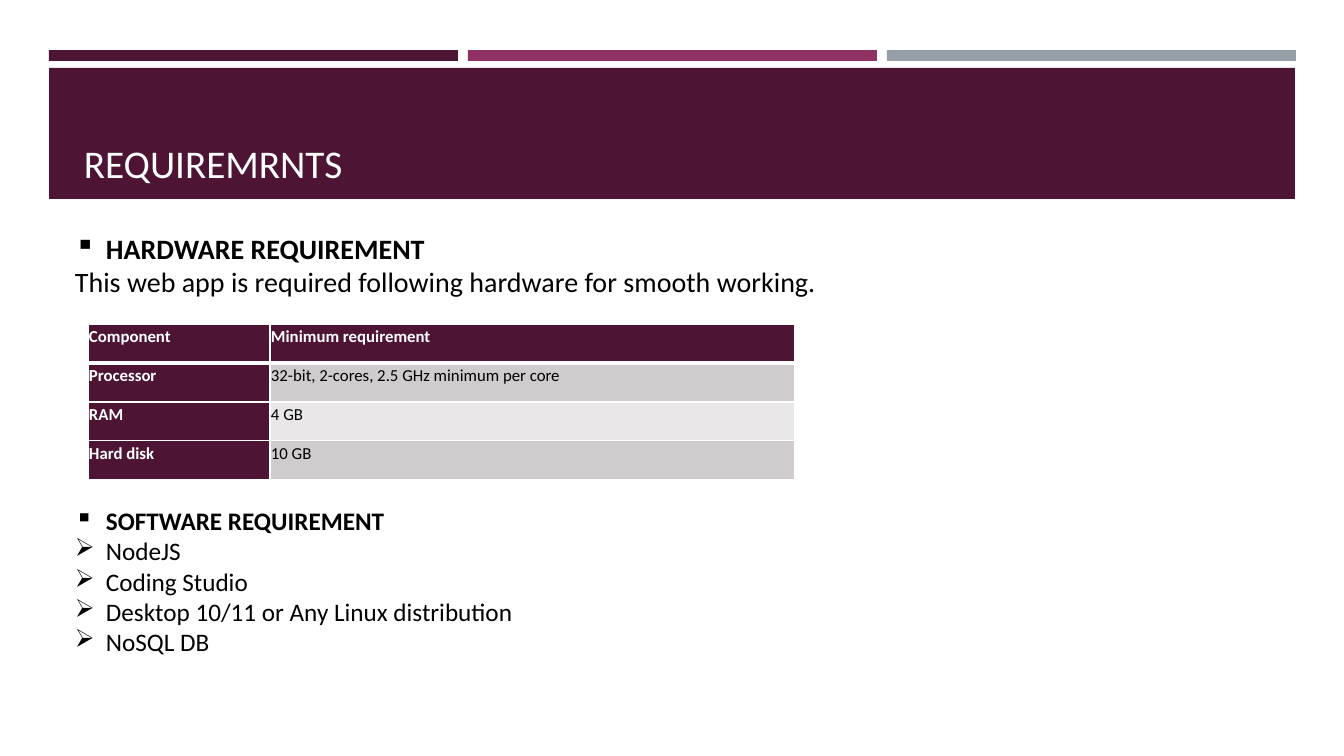
from dataclasses import dataclass

from lxml import etree
from pptx import Presentation
from pptx import util as u
from pptx.dml.color import RGBColor
from pptx.enum import shapes, text
from pptx.oxml import ns

EMU_PER_PX = 914400 / 100.8
FONT = "Calibri"
COLOURS = {
    "plum": "4D1434",
    "berry": "903163",
    "steel": "969FA7",
    "white": "FFFFFF",
    "black": "000000",
    "band_dark": "D0CCCE",
    "band_light": "E9E7E8",
}
BULLET_INDENT = 31


@dataclass(frozen=True)
class Bar:
    left: int
    top: int
    width: int
    height: int
    colour: str


@dataclass(frozen=True)
class Line:
    words: str
    size: int
    colour: str = "black"
    bold: bool = False
    bullet: str = ""
    gap_before: int = 0


BARS = [
    *(Bar(49 + 419 * i, 50, 409, 11, colour)
      for i, colour in enumerate(("plum", "berry", "steel"))),
    Bar(49, 68, 1246, 131, "plum"),
]
TITLE = [Line("REQUIREMRNTS", 28, "white")]
BODY = [
    Line("HARDWARE REQUIREMENT", 20, bold=True, bullet="▪"),
    Line("This web app is required following hardware for smooth working.", 20),
    Line("SOFTWARE REQUIREMENT", 18, bold=True, bullet="▪", gap_before=207),
    *(Line(name, 18, bullet="➢") for name in (
        "NodeJS",
        "Coding Studio",
        "Desktop 10/11 or Any Linux distribution",
        "NoSQL DB",
    )),
]
HARDWARE = [
    ("Component", "Minimum requirement"),
    ("Processor", "32-bit, 2-cores, 2.5 GHz minimum per core"),
    ("RAM", "4 GB"),
    ("Hard disk", "10 GB"),
]
COLUMN_WIDTHS = (182, 525)
ROW_HEIGHT = 39


def px(length: int) -> u.Emu:
    return u.Emu(round(length * EMU_PER_PX))


def rgb(name: str) -> RGBColor:
    return RGBColor.from_string(COLOURS[name])


def draw_bar(page, bar: Bar) -> None:
    shape = page.shapes.add_shape(
        shapes.MSO_SHAPE.RECTANGLE,
        px(bar.left), px(bar.top), px(bar.width), px(bar.height))
    shape.shadow.inherit = False
    shape.fill.solid()
    shape.fill.fore_color.rgb = rgb(bar.colour)
    shape.line.fill.background()


def write_line(para, line: Line) -> None:
    if line.bullet:
        properties = para._p.get_or_add_pPr()
        properties.set("marL", str(px(BULLET_INDENT)))
        properties.set("indent", str(-px(BULLET_INDENT)))
        etree.SubElement(properties, ns.qn("a:buChar"), char=line.bullet)
    if line.gap_before:
        para.space_before = px(line.gap_before)
    span = para.add_run()
    span.text = line.words
    span.font.name = FONT
    span.font.size = u.Pt(line.size)
    span.font.bold = line.bold
    span.font.color.rgb = rgb(line.colour)


def draw_text(page, left: int, top: int, width: int, height: int,
              anchor: text.MSO_ANCHOR, lines: list[Line]) -> None:
    box = page.shapes.add_textbox(px(left), px(top), px(width), px(height))
    frame = box.text_frame
    frame.word_wrap = True
    frame.vertical_anchor = anchor
    for i, line in enumerate(lines):
        para = frame.add_paragraph() if i else frame.paragraphs[0]
        write_line(para, line)


def set_border(cell, side: str, points: int) -> None:
    edge = etree.SubElement(
        cell._tc.get_or_add_tcPr(), ns.qn(f"a:{side}"), w=str(u.Pt(points)))
    fill = etree.SubElement(edge, ns.qn("a:solidFill"))
    etree.SubElement(fill, ns.qn("a:srgbClr"), val=COLOURS["white"])


def draw_table(page, left: int, top: int) -> None:
    table = page.shapes.add_table(
        len(HARDWARE), len(COLUMN_WIDTHS), px(left), px(top),
        px(sum(COLUMN_WIDTHS)), px(ROW_HEIGHT * len(HARDWARE))).table
    for column, width in zip(table.columns, COLUMN_WIDTHS):
        column.width = px(width)
    for r, record in enumerate(HARDWARE):
        table.rows[r].height = px(ROW_HEIGHT)
        for c, words in enumerate(record):
            cell = table.cell(r, c)
            heading = r == 0 or c == 0
            for side in ("lnL", "lnR", "lnT", "lnB"):
                thick = (r, side) in ((0, "lnB"), (1, "lnT"))
                set_border(cell, side, 3 if thick else 1)
            band = "band_dark" if r % 2 else "band_light"
            cell.fill.solid()
            cell.fill.fore_color.rgb = rgb("plum" if heading else band)
            cell.margin_left = cell.margin_right = px(1)
            cell.margin_top = cell.margin_bottom = px(1)
            para = cell.text_frame.paragraphs[0]
            para.line_spacing = 1.07
            write_line(para, Line(words, 12, "white" if heading else "black", heading))


def main() -> None:
    deck = Presentation()
    deck.slide_width, deck.slide_height = px(1344), px(756)
    page = deck.slides.add_slide(deck.slide_layouts[6])
    for bar in BARS:
        draw_bar(page, bar)
    draw_text(page, 74, 79, 1206, 112, text.MSO_ANCHOR.BOTTOM, TITLE)
    draw_text(page, 65, 223, 1154, 442, text.MSO_ANCHOR.MIDDLE, BODY)
    draw_table(page, 88, 324)
    deck.save("out.pptx")


if __name__ == "__main__":
    main()
